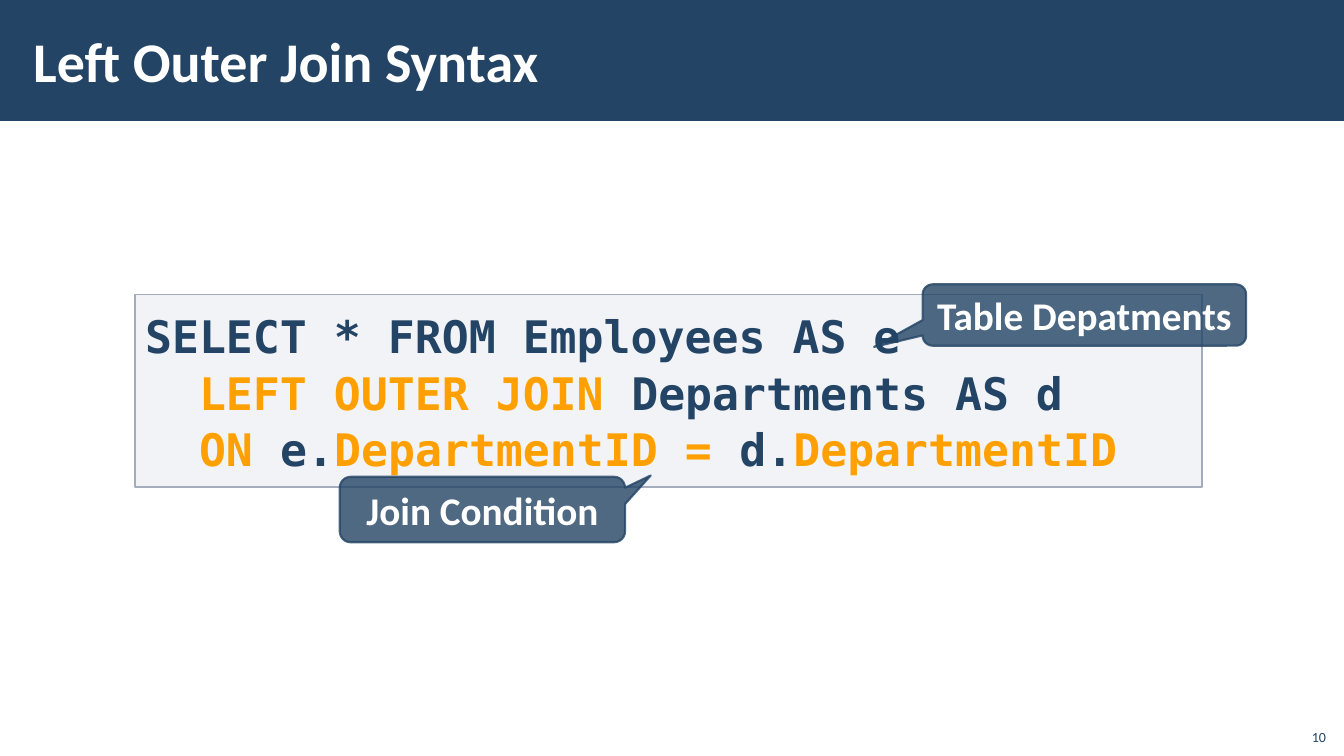
from dataclasses import dataclass

from pptx import Presentation
from pptx import util as u
from pptx.dml.color import RGBColor
from pptx.enum import shapes, text
from pptx.oxml import ns
from pptx.oxml.xmlchemy import OxmlElement


@dataclass(frozen=True)
class Theme:
    navy: str = "234465"
    orange: str = "FFA000"
    white: str = "FFFFFF"
    code_fill: str = "C2C7D2"
    code_line: str = "A3ABBC"
    font: str = "Calibri"
    mono: str = "DejaVu Sans Mono"
    title_size: int = 40
    code_size: int = 32
    callout_size: int = 28
    number_size: int = 10


@dataclass(frozen=True)
class Box:
    left: float
    top: float
    width: float
    height: float

    def emu(self) -> tuple:
        return tuple(u.Inches(v) for v in (self.left, self.top, self.width, self.height))


@dataclass(frozen=True)
class Callout:
    label: str
    box: Box
    tip: tuple[float, float]


T = Theme()
MIDDLE = text.MSO_ANCHOR.MIDDLE
ALIGN = text.PP_ALIGN
SHAPE = shapes.MSO_SHAPE

# Each code line is a list of (text, colour) pieces
CODE = [
    [("SELECT * FROM Employees AS e", T.navy)],
    [("  LEFT OUTER JOIN ", T.orange), ("Departments AS d", T.navy)],
    [("  ON ", T.orange), ("e.", T.navy), ("DepartmentID = ", T.orange),
     ("d.", T.navy), ("DepartmentID", T.orange)],
]
CALLOUTS = [
    Callout("Table Depatments", Box(9.15, 2.82, 3.21, 0.61), (-0.65, 0.52)),
    Callout("Join Condition", Box(3.37, 4.73, 2.83, 0.65), (0.59, -0.52)),
]


def rgb(color: str) -> RGBColor:
    return RGBColor.from_string(color)


def set_alpha(element, percent: int) -> None:
    """Make every colour inside the element translucent."""
    for clr in element.iter(ns.qn("a:srgbClr")):
        alpha = OxmlElement("a:alpha")
        alpha.set("val", str(percent * 1000))
        clr.append(alpha)


def add_panel(s, kind, box: Box, fill: str, alpha: int = 100):
    sp = s.shapes.add_shape(kind, *box.emu())
    sp.shadow.inherit = False
    sp.fill.solid()
    sp.fill.fore_color.rgb = rgb(fill)
    if alpha < 100:
        set_alpha(sp._element.spPr, alpha)
    sp.line.fill.background()
    return sp


def set_line(sp, color: str, width: float) -> None:
    sp.line.color.rgb = rgb(color)
    sp.line.width = u.Pt(width)


def set_margins(tf, left: float, top: float, right: float, bottom: float) -> None:
    tf.margin_left, tf.margin_top = u.Inches(left), u.Inches(top)
    tf.margin_right, tf.margin_bottom = u.Inches(right), u.Inches(bottom)


def write(tf, label: str, size: int, color: str, bold: bool, align, anchor) -> None:
    tf.word_wrap = True
    tf.vertical_anchor = anchor
    p = tf.paragraphs[0]
    p.text = label
    p.alignment = align
    p.font.name, p.font.size, p.font.bold = T.font, u.Pt(size), bold
    p.font.color.rgb = rgb(color)


def add_code(s, box: Box) -> None:
    sp = add_panel(s, SHAPE.RECTANGLE, box, T.code_fill, 20)
    set_line(sp, T.code_line, 1)
    tf = sp.text_frame
    tf.word_wrap = True
    tf.vertical_anchor = text.MSO_ANCHOR.TOP
    set_margins(tf, 0.1, 0.12, 0, 0.12)
    for i, line in enumerate(CODE):
        p = tf.add_paragraph() if i else tf.paragraphs[0]
        p.alignment = ALIGN.LEFT
        p.line_spacing = 1.05
        p.font.name, p.font.size, p.font.bold = T.mono, u.Pt(T.code_size), True
        for piece, color in line:
            r = p.add_run()
            r.text = piece
            r.font.color.rgb = rgb(color)


def add_callout(s, callout: Callout) -> None:
    sp = add_panel(s, SHAPE.ROUNDED_RECTANGULAR_CALLOUT, callout.box, T.navy)
    set_line(sp, T.navy, 1.5)
    set_alpha(sp._element.spPr, 80)
    sp.adjustments[0], sp.adjustments[1] = callout.tip
    write(sp.text_frame, callout.label, T.callout_size, T.white, True, ALIGN.CENTER, MIDDLE)


def main() -> None:
    prs = Presentation()
    prs.slide_width, prs.slide_height = u.Inches(13.33), u.Inches(7.5)
    s = prs.slides.add_slide(prs.slide_layouts[6])

    # Title band
    add_panel(s, SHAPE.RECTANGLE, Box(0, 0, 13.33, 1.2), T.navy)
    tf = s.shapes.add_textbox(*Box(0.21, 0.11, 10.63, 0.97).emu()).text_frame
    set_margins(tf, 0.12, 0.04, 0.12, 0.04)
    write(tf, "Left Outer Join Syntax", T.title_size, T.white, True, ALIGN.LEFT, MIDDLE)

    # Query with its callouts
    add_code(s, Box(1.34, 2.92, 10.58, 1.91))
    for callout in CALLOUTS:
        add_callout(s, callout)

    # Slide number
    tf = s.shapes.add_textbox(*Box(12.85, 7.12, 0.4, 0.32).emu()).text_frame
    write(tf, "10", T.number_size, T.navy, False, ALIGN.RIGHT, text.MSO_ANCHOR.BOTTOM)

    prs.save("out.pptx")


if __name__ == "__main__":
    main()
